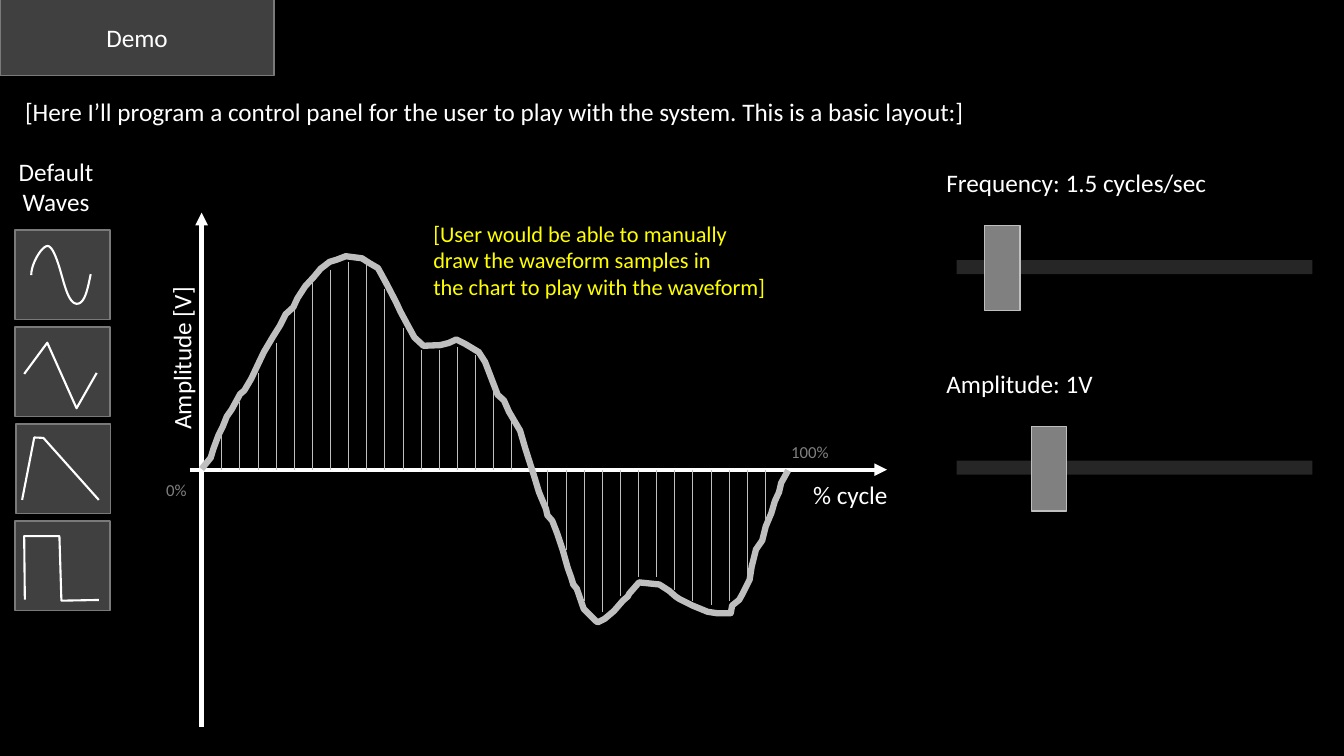
from dataclasses import dataclass

from lxml.etree import SubElement
from pptx import Presentation
from pptx.dml.color import RGBColor
from pptx.enum.shapes import MSO_CONNECTOR as Connector, MSO_SHAPE as Shape
from pptx.enum.text import MSO_ANCHOR as Anchor, MSO_AUTO_SIZE as AutoSize, PP_ALIGN as Align
from pptx.oxml.ns import qn
from pptx.util import Pt

FONT = "Calibri"
COLOURS = {
    "background": "000000",
    "text": "FFFFFF",
    "note": "FFFF00",
    "muted": "808080",
    "panel": "404040",
    "panel_edge": "7A7A7A",
    "track": "262626",
    "wave": "BFBFBF",
}

Point = tuple[float, float]


@dataclass
class Label:
    text: str
    left: float
    top: float
    width: float
    height: float
    size: float = 18
    colour: str = "text"
    align: Align = Align.LEFT
    rotation: float = 0


@dataclass
class Slider:
    caption: str
    top: float
    knob_left: float


@dataclass
class WaveButton:
    left: float
    icon: list[Point]


def rgb(name: str) -> RGBColor:
    return RGBColor.from_string(COLOURS[name])


def format_text(text_frame, size: float, colour: str, align: Align) -> None:
    for paragraph in text_frame.paragraphs:
        paragraph.alignment = align
        for run in paragraph.runs:
            run.font.name = FONT
            run.font.size = Pt(size)
            run.font.color.rgb = rgb(colour)


def place(shape, left: float, top: float, width: float, height: float) -> None:
    shape.left, shape.top = Pt(left), Pt(top)
    shape.width, shape.height = Pt(width), Pt(height)


def paint(shape, fill: str, edge: str | None) -> None:
    shape.fill.solid()
    shape.fill.fore_color.rgb = rgb(fill)
    if edge:
        shape.line.color.rgb = rgb(edge)
        shape.line.width = Pt(1)
    else:
        shape.line.fill.background()


def add_box(slide, left: float, top: float, width: float, height: float,
            fill: str, edge: str | None = None) -> None:
    shape = slide.shapes.add_shape(Shape.RECTANGLE, Pt(left), Pt(top), Pt(width), Pt(height))
    shape.shadow.inherit = False
    paint(shape, fill, edge)


def add_label(slide, label: Label) -> None:
    shape = slide.shapes.add_textbox(Pt(label.left), Pt(label.top), Pt(label.width), Pt(label.height))
    shape.rotation = label.rotation
    shape.text_frame.word_wrap = True
    shape.text_frame.text = label.text
    format_text(shape.text_frame, label.size, label.colour, label.align)


def add_line(slide, start: Point, end: Point, colour: str, weight: float, arrow: bool = False) -> None:
    line = slide.shapes.add_connector(Connector.STRAIGHT, *map(Pt, start + end))
    line.line.color.rgb = rgb(colour)
    line.line.width = Pt(weight)
    if arrow:
        SubElement(line.line._get_or_add_ln(), qn("a:tailEnd"), type="triangle")
    SubElement(line._element.spPr, qn("a:effectLst"))


def add_curve(slide, points: list[Point], colour: str, weight: float) -> None:
    vertices = [(Pt(x), Pt(y)) for x, y in points]
    builder = slide.shapes.build_freeform(*vertices[0])
    builder.add_line_segments(vertices[1:], close=False)
    shape = builder.convert_to_shape()
    shape.shadow.inherit = False
    shape.fill.background()
    shape.line.color.rgb = rgb(colour)
    shape.line.width = Pt(weight)


def bezier(points: list[Point], steps: int = 12) -> list[Point]:
    curve = [points[0]]
    for first in range(0, len(points) - 1, 3):
        corners = points[first:first + 4]
        for step in range(1, steps + 1):
            t = step / steps
            weights = ((1 - t) ** 3, 3 * t * (1 - t) ** 2, 3 * t * t * (1 - t), t ** 3)
            curve.append(tuple(sum(w * c[axis] for w, c in zip(weights, corners)) for axis in (0, 1)))
    return curve


SINE = bezier([(22.3, 196.5), (22.3, 188), (30, 175.7), (34, 175.7), (38, 175.7), (41.8, 188.6),
               (44, 196.5), (46, 203), (49, 216.7), (54.7, 217), (60.5, 217.4), (62.6, 206.6), (64.8, 195.8)])
WAVE_BUTTONS = [
    WaveButton(10.8, SINE),
    WaveButton(10.8, [(17.3, 267.1), (33.8, 244.8), (54.7, 291.6), (69.1, 266.4)]),
    WaveButton(11.5, [(15.8, 357.1), (24.5, 312.5), (31, 312.8), (70.6, 357.1)]),
    WaveButton(10.8, [(17.8, 428.4), (17.3, 383), (42.5, 383), (43.9, 429.1), (70.6, 428.6)]),
]
BUTTON_TOP, BUTTON_STEP = 164.2, 69.3

WAVEFORM = [
    (144, 335), (150.5, 327), (152.5, 320.5), (156, 311), (159, 305), (162, 297.5), (165.5, 292.5),
    (171.5, 281.5), (174.5, 279), (179.5, 270.5), (183.5, 262), (188.5, 251.5), (195, 240.5),
    (200, 232.5), (204, 224.5), (209.5, 219.5), (212.5, 213), (218, 204.5), (224, 198), (229, 192),
    (235.5, 187), (240.5, 185.5), (247, 183), (258.5, 184.5), (264, 188), (270, 191.5), (276, 202.5),
    (283, 216), (286, 222.5), (289.5, 229), (293, 235.5), (296, 241), (302.5, 247), (314.5, 246.5),
    (320.5, 245), (326, 242.5), (332, 245.5), (342, 251.5), (346.5, 258.5), (355.5, 282), (360, 286),
    (363.5, 294), (368.5, 302.5), (371.5, 307.5), (375, 319.5), (377.5, 327.5), (381.5, 340),
    (385, 351.5), (390, 363.5), (391, 368), (394.5, 372), (398, 381), (402, 393), (405.5, 405.5),
    (408, 412.5), (409.5, 417.5), (412, 420.5), (417, 435), (425.5, 443.5), (427, 444.5), (432, 442),
    (438.5, 436.5), (445, 429), (448.5, 426), (449.5, 424), (456.5, 416), (471, 417.5), (478, 422),
    (482.5, 426), (485.5, 428), (494.5, 432.5), (505.5, 437), (512, 438), (522, 438), (523, 432.5),
    (528, 428.5), (530.5, 424), (535.5, 414), (537, 404.5), (540, 392.5), (544.5, 386), (547, 376),
    (551, 366.5), (553.5, 358), (556.5, 351.5), (558, 345), (563, 336),
]
AXIS_X, AXIS_Y = 144, 335.5
SAMPLE_LEFT, SAMPLE_STEP = 158.4, 12.94
SAMPLE_ENDS = [
    306.7, 287.3, 266.4, 244.8, 221.8, 198, 193, 187.2, 188.6, 206.6, 234, 249.8, 249.8, 247.7, 253.4,
    276.5, 301.7, None, 360.7, 393.1, 429.1, 437, 425.5, 411.8, 411.8, 421.2, 429.1, 432, 429.1, 411.8, 372.2,
]

LABELS = [
    Label("[Here I’ll program a control panel for the user to play with the system. This is a basic layout:]",
          10.8, 65.5, 918.7, 53),
    Label("Amplitude [V]", 56.9, 226.8, 145.4, 29, rotation=270),
    Label("% cycle", 573.8, 339.1, 84.2, 29),
    Label("Default\nWaves", -1.4, 108, 82.8, 51, align=Align.CENTER),
    Label("[User would be able to manually\ndraw the waveform samples in\nthe chart to play with the waveform]",
          302.4, 153.4, 315.4, 65.5, 16, "note"),
    Label("100%", 558, 311.8, 49, 21.6, 12, "muted"),
    Label("0%", 111.6, 339.1, 35.3, 21.6, 12, "muted"),
]
SLIDERS = [Slider("Frequency: 1.5 cycles/sec", 115.9, 703.4), Slider("Amplitude: 1V", 259.2, 736.6)]


def add_slider(slide, slider: Slider) -> None:
    add_label(slide, Label(slider.caption, 668.9, slider.top, 272.9, 51))
    add_box(slide, 683.3, slider.top + 69.9, 254.2, 10, "track")
    add_box(slide, slider.knob_left, slider.top + 45.4, 25.2, 60.5, "muted", "wave")


def add_title(slide) -> None:
    title = slide.shapes.title
    place(title, 0, -0.7, 195.8, 54.7)
    paint(title, "panel", "panel_edge")
    title.text_frame.text = "Demo"
    title.text_frame.auto_size = AutoSize.NONE
    title.text_frame.vertical_anchor = Anchor.MIDDLE
    format_text(title.text_frame, 18, "text", Align.CENTER)


def main() -> None:
    presentation = Presentation()
    presentation.slide_width, presentation.slide_height = Pt(960), Pt(540)
    slide = presentation.slides.add_slide(presentation.slide_layouts[5])
    slide.background.fill.solid()
    slide.background.fill.fore_color.rgb = rgb("background")

    add_title(slide)
    add_line(slide, (AXIS_X, 519.1), (AXIS_X, 151.9), "text", 3, arrow=True)
    add_line(slide, (135.4, AXIS_Y), (633.6, AXIS_Y), "text", 3, arrow=True)
    for index, button in enumerate(WAVE_BUTTONS):
        add_box(slide, button.left, BUTTON_TOP + index * BUTTON_STEP, 67.7, 64.1, "panel", "panel_edge")
        add_curve(slide, button.icon, "text", 1.5)
    add_curve(slide, WAVEFORM, "wave", 4.5)
    for label in LABELS:
        add_label(slide, label)
    for slider in SLIDERS:
        add_slider(slide, slider)
    for index, end in enumerate(SAMPLE_ENDS):
        if end is not None:
            x = SAMPLE_LEFT + index * SAMPLE_STEP
            add_line(slide, (x, end), (x, AXIS_Y), "wave", 0.5)

    presentation.save("out.pptx")


if __name__ == "__main__":
    main()
